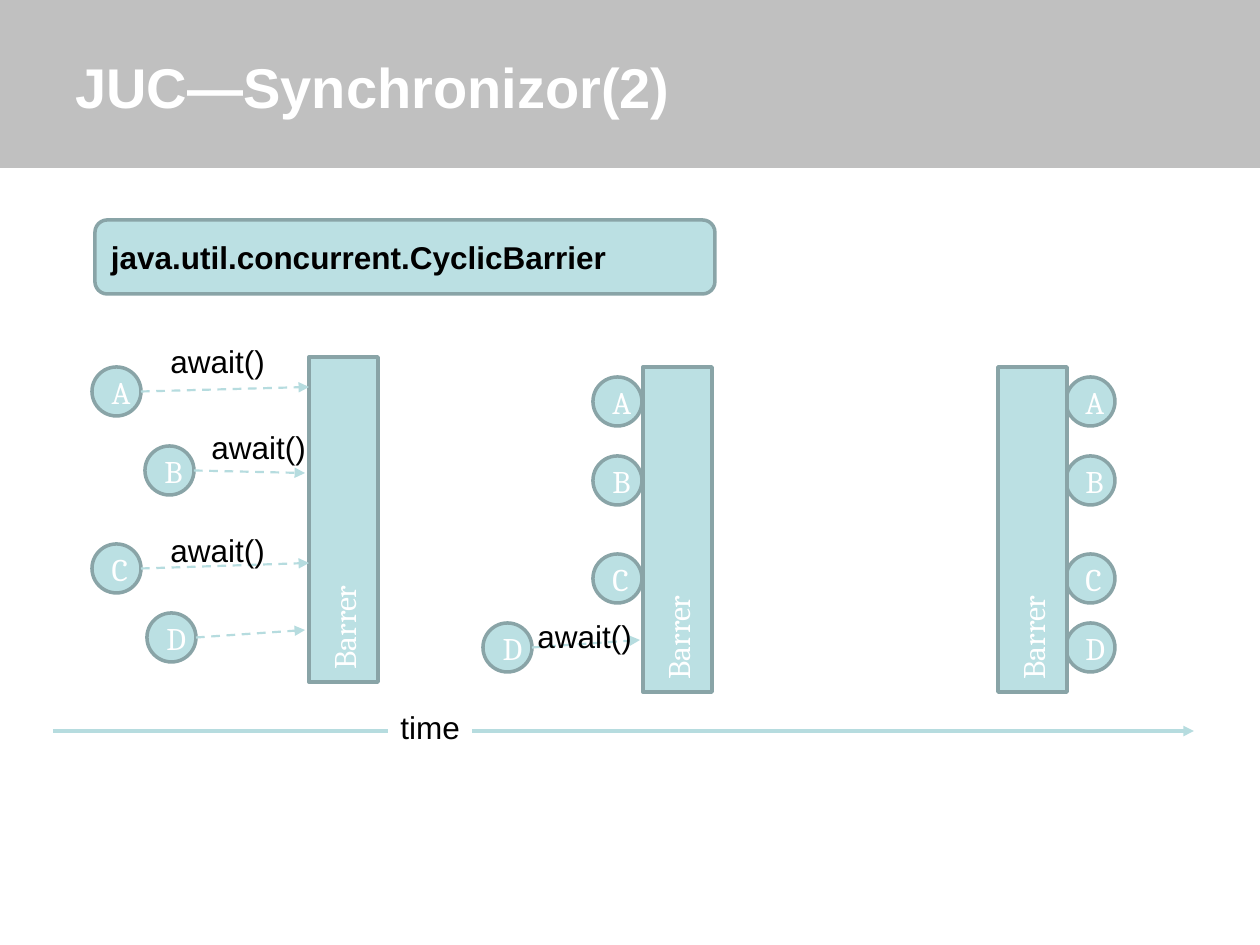
import pptx
import pptx.dml.color
import pptx.enum.dml
import pptx.enum.shapes
import pptx.enum.text
import pptx.oxml.ns
import pptx.util
from lxml import etree

RGB = pptx.dml.color.RGBColor
SHAPE = pptx.enum.shapes.MSO_SHAPE
ALIGN = pptx.enum.text.PP_ALIGN
ANCHOR = pptx.enum.text.MSO_ANCHOR

BAND_GRAY = RGB(0xC0, 0xC0, 0xC0)
PALE_TEAL = RGB(0xBB, 0xE0, 0xE3)
EDGE_TEAL = RGB(0x89, 0xA4, 0xA7)
ARROW_TEAL = RGB(0xB6, 0xDC, 0xDF)
WHITE = RGB(0xFF, 0xFF, 0xFF)
BLACK = RGB(0, 0, 0)

TITLE = "JUC—Synchronizor(2)"
CLASS_NAME = "java.util.concurrent.CyclicBarrier"
BARRIER = "Barrer"
TIME = "time"
AWAIT = "await()"

# Offsets below the top of the barrier: (thread circle, arrow tip)
THREAD_ROWS = {"A": (10, 30), "B": (89, 116), "C": (187, 206), "D": (256, 273)}
# Each stage: barrier left and top, circle lefts, gap from arrow tip to barrier
STAGES = [
    {"barrier": (309, 357),
     "threads": {"A": 92, "B": 145, "C": 92, "D": 147},
     "arrow_gaps": {"A": 0, "B": 4, "C": 0, "D": 4}},
    {"barrier": (643, 367),
     "threads": {"A": 593, "B": 593, "C": 593, "D": 483},
     "arrow_gaps": {"D": 3}},
    {"barrier": (998, 367),
     "threads": dict.fromkeys(THREAD_ROWS, 1066),
     "arrow_gaps": {}},
]
AWAIT_SPOTS = [(158, 336), (199, 422), (158, 525), (525, 611)]
CIRCLE = 49
BARRIER_WIDTH, BARRIER_HEIGHT = 69, 325
TIME_Y = 731

EMU_PER_PX = 914400 / 126


def px(*lengths):
    return [pptx.util.Emu(round(length * EMU_PER_PX)) for length in lengths]


deck = pptx.Presentation()
deck.slide_width, deck.slide_height = px(1260, 945)
slide = deck.slides.add_slide(deck.slide_layouts[6])


def write(holder, text, size=18, font="Arial", color=BLACK, bold=False,
          align=ALIGN.LEFT, anchor=ANCHOR.MIDDLE, wrap=True):
    frame = holder.text_frame
    frame.word_wrap = wrap
    frame.vertical_anchor = anchor
    paragraph = frame.paragraphs[0]
    paragraph.alignment = align
    run = paragraph.add_run()
    run.text = text
    run.font.size = pptx.util.Pt(size)
    run.font.name = font
    run.font.color.rgb = color
    run.font.bold = bold
    return frame


def add_block(kind, box, fill=PALE_TEAL, edge=EDGE_TEAL):
    block = slide.shapes.add_shape(kind, *px(*box))
    block.shadow.inherit = False
    block.fill.solid()
    block.fill.fore_color.rgb = fill
    if edge is None:
        block.line.fill.background()
    else:
        block.line.color.rgb = edge
        block.line.width = pptx.util.Pt(2)
    return block


def add_arrow(start, end, width, dashed=False):
    arrow = slide.shapes.add_connector(
        pptx.enum.shapes.MSO_CONNECTOR.STRAIGHT, *px(*start, *end))
    arrow.line.color.rgb = ARROW_TEAL
    arrow.line.width = pptx.util.Pt(width)
    if dashed:
        arrow.line.dash_style = pptx.enum.dml.MSO_LINE.DASH
    etree.SubElement(arrow.line._get_or_add_ln(),
                     pptx.oxml.ns.qn("a:tailEnd"), type="triangle")
    etree.SubElement(arrow._element.spPr, pptx.oxml.ns.qn("a:effectLst"))


def add_barrier(left, top):
    """Draw a barrier whose label reads from bottom to top."""
    barrier = add_block(SHAPE.RECTANGLE, (left, top, BARRIER_WIDTH, BARRIER_HEIGHT))
    barrier.rotation = 180
    frame = write(barrier, BARRIER, font="Cambria", color=WHITE, align=ALIGN.CENTER)
    frame.margin_left = frame.margin_right = pptx.util.Inches(0.05)
    frame.margin_top = frame.margin_bottom = pptx.util.Inches(0.1)
    frame._txBody.bodyPr.set("vert", "eaVert")


def add_stage(stage):
    barrier_left, barrier_top = stage["barrier"]
    for name, left in stage["threads"].items():
        top = barrier_top + THREAD_ROWS[name][0]
        thread = add_block(SHAPE.OVAL, (left, top, CIRCLE, CIRCLE))
        write(thread, name, font="Cambria", color=WHITE, align=ALIGN.CENTER)
    add_barrier(barrier_left, barrier_top)
    for name, gap in stage["arrow_gaps"].items():
        circle_offset, tip_offset = THREAD_ROWS[name]
        start = (stage["threads"][name] + CIRCLE,
                 barrier_top + circle_offset + CIRCLE / 2)
        add_arrow(start, (barrier_left - gap, barrier_top + tip_offset),
                  1.25, dashed=True)


add_block(SHAPE.RECTANGLE, (0, 0, 1260, 168), fill=BAND_GRAY, edge=None)
title = slide.shapes.add_textbox(*px(63, 21, 1134, 130))
write(title, TITLE, size=32, color=WHITE, bold=True)
class_box = add_block(SHAPE.ROUNDED_RECTANGLE, (95, 220, 620, 74))
write(class_box, CLASS_NAME, bold=True)

for stage in STAGES:
    add_stage(stage)

add_arrow((53, TIME_Y), (1194, TIME_Y), 2)
time_label = add_block(SHAPE.RECTANGLE, (388, 702, 84, 50), fill=WHITE, edge=None)
write(time_label, TIME, anchor=ANCHOR.TOP, wrap=False)

for left, top in AWAIT_SPOTS:
    await_label = slide.shapes.add_textbox(*px(left, top, 126, 50))
    write(await_label, AWAIT, anchor=ANCHOR.TOP)

deck.save("out.pptx")
